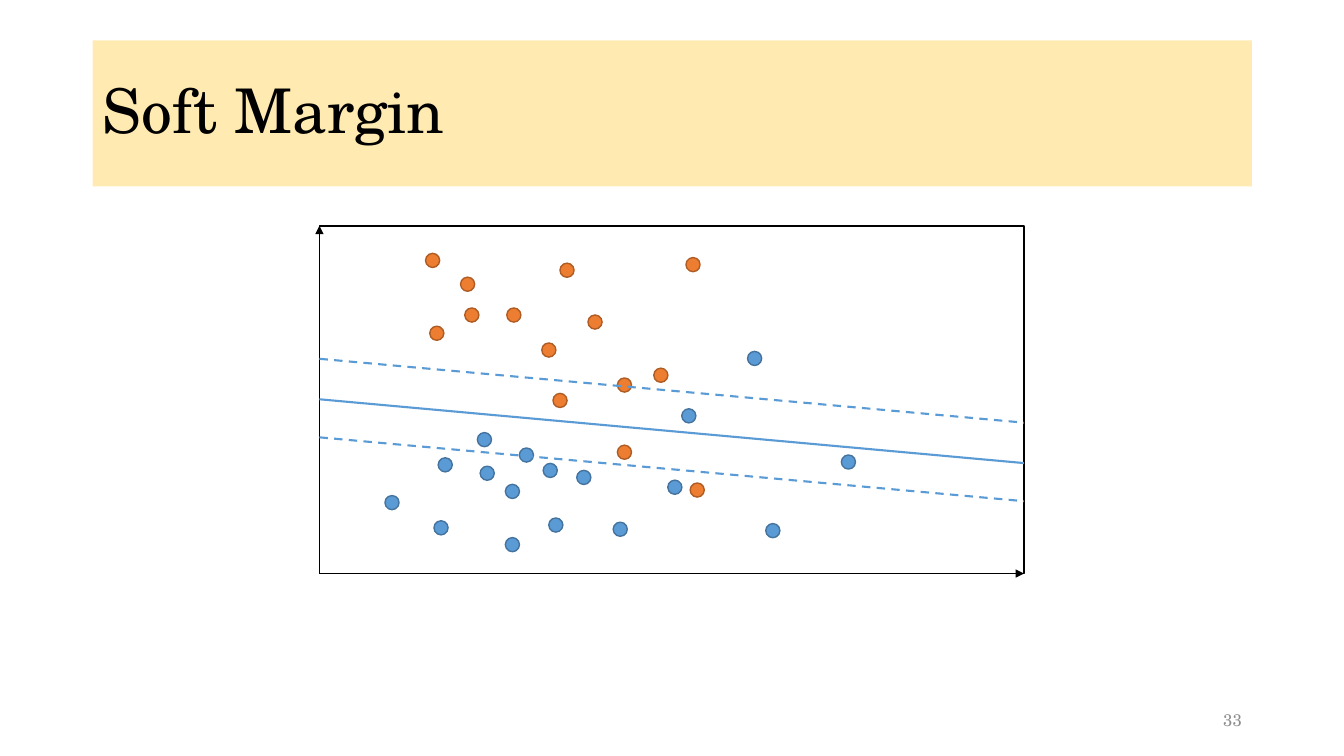
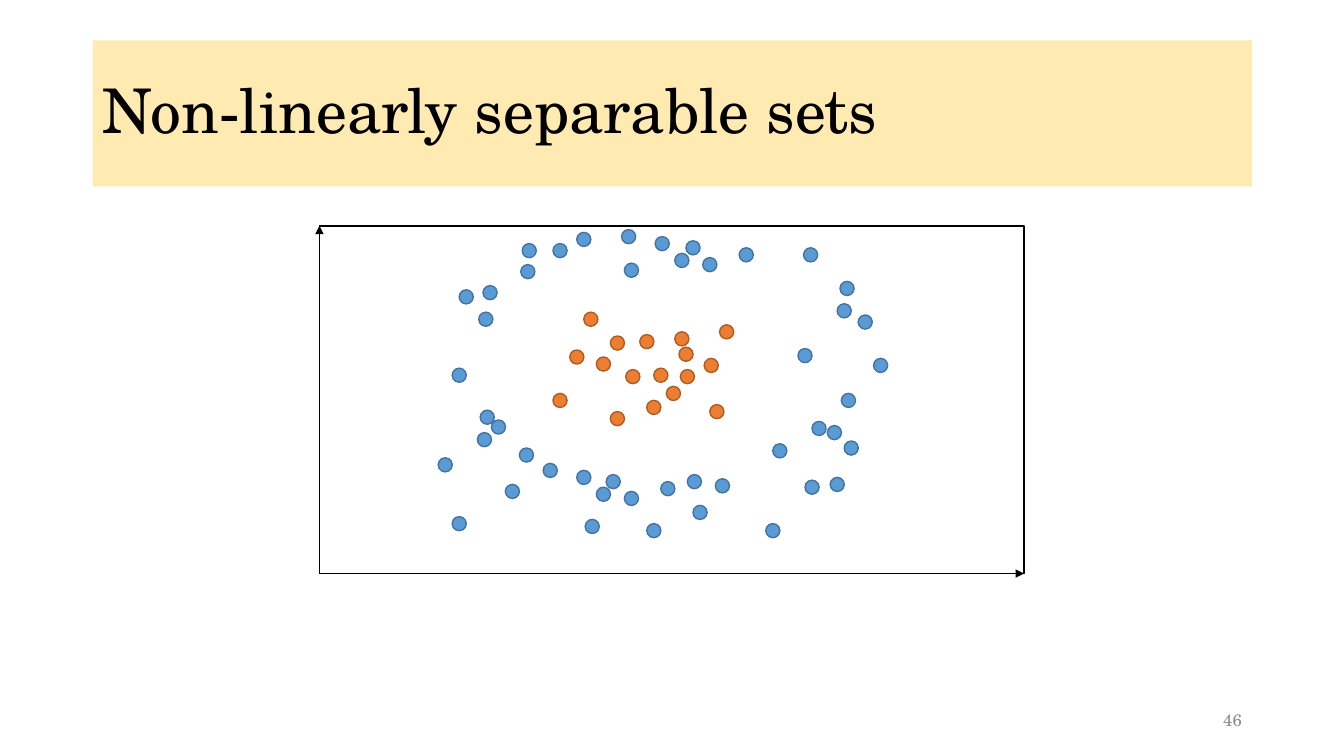
"""Two scatter slides: a soft margin and sets that no line separates."""
from lxml import etree
from pptx import Presentation
from pptx.dml.color import RGBColor
from pptx.enum import dml, shapes, text
from pptx.oxml.ns import qn
from pptx.util import Pt

FONT = "TeX Gyre Schola"
HUES = {
    "ink": "000000", "band": "FFD966", "page": "8C8C8C",
    "blue": "5B9BD5", "blue edge": "43739E",
    "orange": "ED7D31", "orange edge": "AF5C24",
}
BAND = (66.2, 28.8, 828, 104.4)
PAGE = (678.2, 500.4, 216, 28.8)
PLOT = (228.2, 161.3, 503.2, 248.4)
DOT = 10.1
DROP = 45.6

SLIDES = [
    {
        "title": "Soft Margin",
        "page": "33",
        "blue": [
            (438, 373), (361, 346), (361, 384), (392, 370), (412, 336), (477, 343),
            (388, 331), (371, 320), (601, 325), (341, 309), (313, 327), (343, 333),
            (275, 354), (310, 372), (547, 374), (487, 292), (534, 251),
        ],
        "orange": [
            (307, 233), (400, 188), (329, 198), (490, 184), (420, 225), (387, 245),
            (362, 220), (441, 270), (467, 263), (332, 220), (304, 181), (395, 281),
            (493, 345), (441, 318),
        ],
        "margins": [(285.2, False), (256.3, True), (312.4, True)],
    },
    {
        "title": "Non-linearly separable sets",
        "page": "46",
        "blue": [
            (433, 339), (361, 346), (446, 351), (343, 293), (412, 336), (426, 348),
            (388, 331), (371, 320), (593, 341), (341, 309), (313, 327), (351, 300),
            (323, 263), (323, 369), (547, 374), (418, 371), (462, 374), (472, 344),
            (491, 339), (495, 361), (511, 342), (552, 317), (575, 343), (580, 301),
            (591, 304), (624, 256), (601, 281), (600, 201), (613, 225), (598, 217),
            (570, 249), (574, 177), (603, 315), (490, 172), (502, 184), (468, 169),
            (482, 181), (444, 164), (446, 188), (412, 166), (528, 177), (372, 189),
            (345, 204), (342, 223), (328, 207), (373, 174), (395, 174),
        ],
        "orange": [
            (417, 223), (436, 240), (482, 237), (485, 248), (457, 239), (407, 250),
            (514, 232), (447, 264), (467, 263), (486, 264), (476, 276), (395, 281),
            (507, 289), (462, 286), (503, 256), (426, 255), (436, 294),
        ],
        "margins": [],
    },
]


def rgb(name):
    return RGBColor.from_string(HUES[name])


def add_shape(slide, kind, box, fill=None, edge=None):
    shape = slide.shapes.add_shape(kind, *map(Pt, box))
    shape.shadow.inherit = False
    if fill:
        shape.fill.solid()
        shape.fill.fore_color.rgb = rgb(fill)
    else:
        shape.fill.background()
    if edge:
        shape.line.color.rgb = rgb(edge)
        shape.line.width = Pt(1)
    else:
        shape.line.fill.background()
    return shape


def add_line(slide, ends, hue, width, dash=False, arrow=False):
    line = slide.shapes.add_connector(shapes.MSO_CONNECTOR.STRAIGHT, *map(Pt, ends))
    line.line.color.rgb = rgb(hue)
    line.line.width = Pt(width)
    if dash:
        line.line.dash_style = dml.MSO_LINE.DASH
    if arrow:
        etree.SubElement(line.line._get_or_add_ln(), qn("a:tailEnd"), type="triangle")
    etree.SubElement(line._element.spPr, qn("a:effectLst"))


def set_text(shape, words, size, hue, align):
    frame = shape.text_frame
    frame.word_wrap = True
    frame.vertical_anchor = text.MSO_ANCHOR.MIDDLE
    frame.text = words
    para = frame.paragraphs[0]
    para.alignment = align
    para.line_spacing = 0.9
    font = para.runs[0].font
    font.name, font.size = FONT, Pt(size)
    font.color.rgb = rgb(hue)


def add_base(slide, title, page):
    band = add_shape(slide, shapes.MSO_SHAPE.RECTANGLE, BAND, "band")
    tint = band._element.spPr.find(qn("a:solidFill"))[0]
    etree.SubElement(tint, qn("a:alpha"), val="50000")
    set_text(band, title, 44, "ink", text.PP_ALIGN.LEFT)
    note = slide.shapes.add_textbox(*map(Pt, PAGE))
    set_text(note, page, 12, "page", text.PP_ALIGN.RIGHT)


def add_plot(slide, data):
    left, top, wide, high = PLOT
    right, base = left + wide, top + high
    add_shape(slide, shapes.MSO_SHAPE.RECTANGLE, PLOT, edge="ink")
    for tip in ((left, top), (right, base)):
        add_line(slide, (left, base, *tip), "ink", 0.5, arrow=True)
    for hue in ("blue", "orange"):
        for x, y in data[hue]:
            add_shape(slide, shapes.MSO_SHAPE.OVAL, (x, y, DOT, DOT), hue, hue + " edge")
    for y, dash in data["margins"]:
        add_line(slide, (left, y, right, y + DROP), "blue", 1.5, dash=dash)


def main():
    deck = Presentation()
    deck.slide_width, deck.slide_height = Pt(960), Pt(540)
    for data in SLIDES:
        slide = deck.slides.add_slide(deck.slide_layouts[6])
        add_base(slide, data["title"], data["page"])
        add_plot(slide, data)
    deck.save("out.pptx")


if __name__ == "__main__":
    main()
